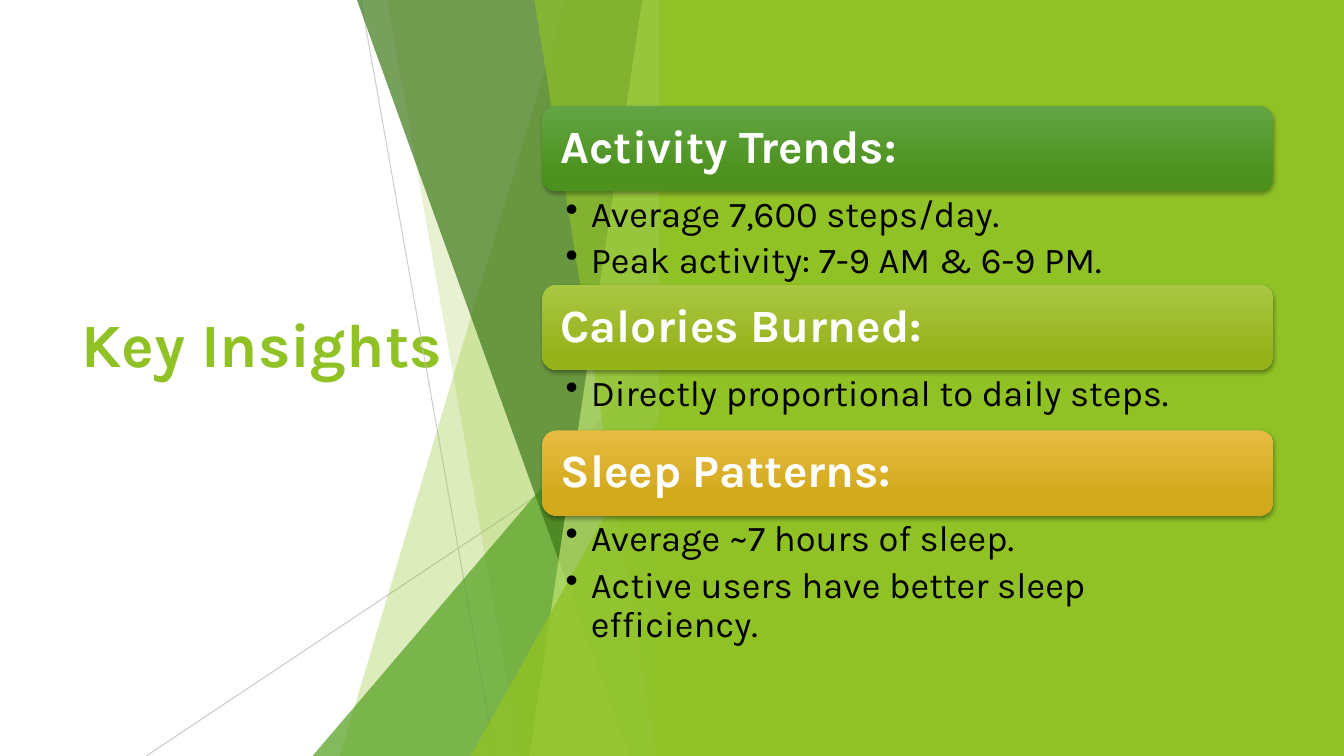
from pptx import Presentation
from pptx import util as u
from pptx.dml.color import RGBColor
from pptx.enum import shapes, text
from pptx.oxml import parse_xml
from pptx.oxml.ns import nsdecls, qn

WIDTH, HEIGHT = 13.33, 7.5
GREEN, DARK, MID, LIME = "90C226", "3F7819", "54A021", "C0E474"
INSIGHTS = [
    ("Activity Trends:", ("63A545", "4D921E"), 0.93,
     ["Average 7,600 steps/day.", "Peak activity: 7-9 AM & 6-9 PM."]),
    ("Calories Burned:", ("AAC744", "97B31C"), 0.6,
     ["Directly proportional to daily steps."]),
    ("Sleep Patterns:", ("E7BC43", "D2A91B"), 1.34,
     ["Average ~7 hours of sleep.", "Active users have better sleep efficiency."]),
]


def color(value):
    """Turn a hex string into a colour."""
    return RGBColor.from_string(value)


def inches(*lengths):
    """Turn numbers into lengths."""
    return [u.Inches(length) for length in lengths]


def set_alpha(fill, percent):
    """Make a solid fill partly transparent."""
    choice = fill.fore_color._xFill[0]
    choice.append(parse_xml(f'<a:alpha {nsdecls("a")} val="{percent * 1000}"/>'))


def paint(shape, value, alpha=100):
    """Give a shape a flat fill without line or shadow."""
    shape.shadow.inherit = False
    shape.line.fill.background()
    shape.fill.solid()
    shape.fill.fore_color.rgb = color(value)
    if alpha < 100:
        set_alpha(shape.fill, alpha)


def add_text(slide, box, lines, size, value, bold=False, anchor=text.MSO_ANCHOR.TOP,
             insets=(0.1, 0.05, 0.1, 0.05), spacing=1.0, after=0, bullet=None):
    """Add a wrapped text box with one paragraph for each line."""
    frame = slide.shapes.add_textbox(*inches(*box)).text_frame
    frame.word_wrap = True
    frame.vertical_anchor = anchor
    (frame.margin_left, frame.margin_top,
     frame.margin_right, frame.margin_bottom) = inches(*insets)
    for index, line in enumerate(lines):
        paragraph = frame.add_paragraph() if index else frame.paragraphs[0]
        paragraph.line_spacing = spacing
        paragraph.space_after = u.Pt(after)
        run = paragraph.add_run()
        run.text = line
        run.font.name = "Karla"
        run.font.size = u.Pt(size)
        run.font.bold = bold
        run.font.color.rgb = color(value)
        if bullet:
            properties = paragraph._p.get_or_add_pPr()
            properties.set("marL", str(u.Inches(0.25)))
            properties.set("indent", str(u.Inches(-0.25)))
            properties.append(parse_xml(f'<a:buChar {nsdecls("a")} char="{bullet}"/>'))


def add_ray(slide, start, end, alpha):
    """Add a thin grey line."""
    ray = slide.shapes.add_connector(
        shapes.MSO_CONNECTOR.STRAIGHT, *inches(*start, *end))
    ray.line.color.rgb = color("BFBFBF")
    ray.line.width = u.Pt(0.75)
    set_alpha(ray.line.fill, alpha)
    ray._element.spPr.append(parse_xml(f'<a:effectLst {nsdecls("a")}/>'))


def add_band(slide, box, top_left, bottom_left, value, alpha):
    """Add a full-height band with a slanted left edge and a straight right edge."""
    left, top, width, height = box
    right, bottom = left + width, top + height
    builder = slide.shapes.build_freeform(*inches(left + top_left, top), scale=1.0)
    corners = [(right, top), (right, bottom), (left + bottom_left, bottom)]
    builder.add_line_segments([inches(*corner) for corner in corners], close=True)
    paint(builder.convert_to_shape(), value, alpha)


def add_wedge(slide, box, width, height, value, alpha):
    """Add a right triangle in the lower right corner of the box."""
    right, bottom = box[0] + box[2], box[1] + box[3]
    wedge = slide.shapes.add_shape(
        shapes.MSO_SHAPE.ISOSCELES_TRIANGLE,
        *inches(right - width, bottom - height, width, height))
    wedge.adjustments[0] = 1
    paint(wedge, value, alpha)


def add_facets(slide, box):
    """Layer the translucent facets between the title and the panel."""
    left, top, width, height = box
    bottom = top + height
    add_ray(slide, (left + 0.48, top), (left + 1.81, bottom), 75)
    add_ray(slide, (left + width, top + 4.03), (left - 1.65, bottom), 80)
    add_band(slide, box, 2.51, 0.27, GREEN, 30)
    add_band(slide, box, 0.74, 2.06, GREEN, 20)
    add_wedge(slide, box, 3.56, 4.17, MID, 72)
    add_band(slide, box, 0.44, 3.14, DARK, 70)
    add_band(slide, box, 3.27, 2.15, LIME, 70)
    add_band(slide, box, 2.2, 3.41, GREEN, 65)
    add_wedge(slide, box, 1.99, 3.57, GREEN, 80)


def add_panel(slide, box):
    """Add the green panel behind the insights."""
    panel = slide.shapes.add_shape(shapes.MSO_SHAPE.RECTANGLE, *inches(*box))
    paint(panel, GREEN)


def add_heading(slide, box, heading, gradient):
    """Add a shaded rounded bar with its heading."""
    left, top, width, height = box
    bar = slide.shapes.add_shape(shapes.MSO_SHAPE.ROUNDED_RECTANGLE, *inches(*box))
    bar.line.fill.background()
    bar.fill.gradient()
    bar.fill.gradient_angle = 270
    for stop, position, value in zip(bar.fill.gradient_stops, (0, 0.78), gradient):
        stop.position = position
        stop.color.rgb = color(value)
    bar.shadow.inherit = False
    bar._element.spPr.find(qn("a:effectLst")).append(parse_xml(
        f'<a:outerShdw {nsdecls("a")} blurRad="{u.Pt(3)}" dist="{u.Pt(2)}" '
        'dir="5400000" rotWithShape="0"><a:srgbClr val="000000">'
        '<a:alpha val="35000"/></a:srgbClr></a:outerShdw>'))
    edge = 0.04
    add_text(slide, (left + edge, top + edge, width - 2 * edge, height - 2 * edge),
             [heading], 33, "FFFFFF", bold=True, anchor=text.MSO_ANCHOR.MIDDLE,
             insets=(0.14,) * 4, spacing=0.9)


def add_insights(slide, box, bar_height=0.845):
    """Stack every heading bar and its bullets down the box."""
    left, top, width, _ = box
    for heading, gradient, detail_height, details in INSIGHTS:
        add_heading(slide, (left, top, width, bar_height), heading, gradient)
        top += bar_height
        add_text(slide, (left, top, width, detail_height), details, 26, "000000",
                 insets=(0.23, 0.05, 0.26, 0.05), spacing=0.9, after=5.2, bullet="•")
        top += detail_height


def main():
    """Build the slide and save it."""
    presentation = Presentation()
    presentation.slide_width, presentation.slide_height = inches(WIDTH, HEIGHT)
    slide = presentation.slides.add_slide(presentation.slide_layouts[6])
    add_text(slide, (0.71, 1.51, 3.88, 4.48), ["Key Insights"], 44, GREEN, bold=True,
             anchor=text.MSO_ANCHOR.MIDDLE, insets=(0.1, 0.05, 0.1, 0.75))
    add_facets(slide, (3.1, 0, 3.56, HEIGHT))
    add_panel(slide, (6.54, 0, WIDTH - 6.54, HEIGHT))
    add_insights(slide, (5.38, 1.05, 7.25, 5.41))
    presentation.save("out.pptx")


if __name__ == "__main__":
    main()
